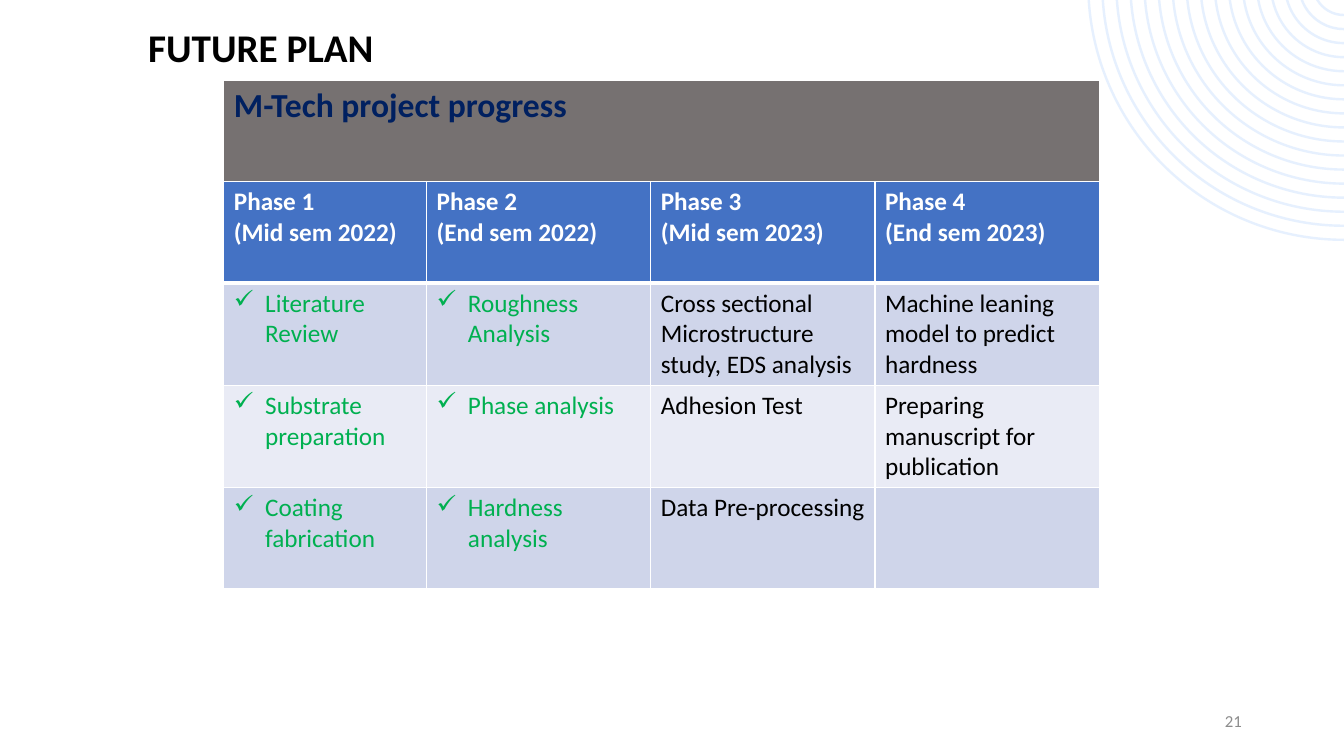
import math

import pptx
import pptx.dml.color
import pptx.enum.text
import pptx.oxml
import pptx.oxml.ns
import pptx.util
from pptx.util import Cm

FONT = "Calibri"
WHITE = "FFFFFF"
BLACK = "000000"
GREEN = "00B050"
COLUMN_WIDTHS = [5.11, 5.65, 5.65, 5.65]
PHASES = [
    "Phase 1\n(Mid sem 2022)",
    "Phase 2\n(End sem 2022)",
    "Phase 3\n(Mid sem 2023)",
    "Phase 4\n(End sem 2023)",
]
TASKS = [
    ["Literature Review", "Roughness Analysis",
     "Cross sectional Microstructure study, EDS analysis",
     "Machine leaning model to predict hardness"],
    ["Substrate preparation", "Phase analysis", "Adhesion Test",
     "Preparing manuscript for publication"],
    ["Coating fabrication", "Hardness analysis", "Data Pre-processing", ""],
]
DONE_COLUMNS = 2
RING_X, RING_Y = 33.87, -0.4


def rgb(color):
    return pptx.dml.color.RGBColor.from_string(color)


def make_xml(tag, children="", **attrs):
    attr_text = "".join(f' {name}="{value}"' for name, value in attrs.items())
    ns = pptx.oxml.ns.nsdecls("a")
    return pptx.oxml.parse_xml(f"<a:{tag} {ns}{attr_text}>{children}</a:{tag}>")


def write(tf, text, size=18, color=BLACK, bold=False, align=None, bullet=None):
    for i, line in enumerate(text.split("\n")):
        p = tf.paragraphs[0] if i == 0 else tf.add_paragraph()
        if bullet:
            pPr = p._p.get_or_add_pPr()
            pPr.set("marL", str(Cm(0.79)))
            pPr.set("indent", str(Cm(-0.79)))
            pPr.append(make_xml("buChar", char=bullet))
        if align is not None:
            p.alignment = align
        r = p.add_run()
        r.text = line
        r.font.name = FONT
        r.font.size = pptx.util.Pt(size)
        r.font.bold = bold
        r.font.color.rgb = rgb(color)


def format_cell(cell, fill, top=1, bottom=1):
    tcPr = cell._tc.get_or_add_tcPr()
    line_fill = f'<a:solidFill><a:srgbClr val="{WHITE}"/></a:solidFill>'
    for side, width in (("L", 1), ("R", 1), ("T", top), ("B", bottom)):
        tcPr.append(make_xml("ln" + side, line_fill, w=pptx.util.Pt(width)))
    cell.fill.solid()
    cell.fill.fore_color.rgb = rgb(fill)


def add_table(slide, top, widths, heights):
    frame = slide.shapes.add_table(
        len(heights), len(widths), Cm(5.64), Cm(top),
        Cm(sum(widths)), Cm(sum(heights)))
    table = frame.table
    table.horz_banding = False
    for column, width in zip(table.columns, widths):
        column.width = Cm(width)
    for row, height in zip(table.rows, heights):
        row.height = Cm(height)
    return table


def add_banner(slide):
    cell = add_table(slide, 2.03, [sum(COLUMN_WIDTHS)], [2.59]).cell(0, 0)
    format_cell(cell, "767171", bottom=3)
    write(cell.text_frame, "M-Tech project progress", 24, "002060", bold=True)


def add_plan(slide):
    table = add_table(slide, 4.57, COLUMN_WIDTHS, [2.56] + [2.54] * len(TASKS))
    for col, phase in enumerate(PHASES):
        cell = table.cell(0, col)
        format_cell(cell, "4472C4", bottom=3)
        write(cell.text_frame, phase, color=WHITE, bold=True)
    for row, tasks in enumerate(TASKS, start=1):
        for col, task in enumerate(tasks):
            cell = table.cell(row, col)
            format_cell(cell, "CFD5EA" if row % 2 else "E9EBF5",
                        top=3 if row == 1 else 1)
            done = col < DONE_COLUMNS
            if task:
                write(cell.text_frame, task, color=GREEN if done else BLACK,
                      bullet="✓" if done else None)


def ring_edge(radius):
    reach = math.sqrt(radius ** 2 - RING_Y ** 2)
    return [(Cm(RING_X - reach), 0), (Cm(RING_X), Cm(RING_Y + radius))]


def make_arc(radius, inward):
    sweep = 90 - math.degrees(math.asin(-RING_Y / radius))
    start, swing = (90, sweep) if inward else (90 + sweep, -sweep)
    return make_xml("arcTo", wR=Cm(radius), hR=Cm(radius),
                    stAng=round(start * 60000), swAng=round(swing * 60000))


def add_corner_rings(slide, count=17, inner=0.81, step=0.354, thickness=0.06):
    builder = None
    arcs = []
    for i in range(count):
        radius = inner + i * step
        points = ring_edge(radius) + ring_edge(radius - thickness)[::-1]
        if builder is None:
            builder = slide.shapes.build_freeform(*points[0])
        else:
            builder.move_to(*points[0])
        builder.add_line_segments(points[1:], close=True)
        arcs += [make_arc(radius, False), None, make_arc(radius - thickness, True)]
    sp = builder.convert_to_shape()
    segments = list(sp._element.iter(pptx.oxml.ns.qn("a:lnTo")))
    for segment, arc in zip(segments, arcs):
        if arc is not None:
            segment.getparent().replace(segment, arc)
    sp.shadow.inherit = False
    sp.fill.solid()
    sp.fill.fore_color.rgb = rgb("E6F0FE")
    sp.line.fill.background()


def add_title(slide, text):
    sp = slide.shapes.title
    sp.left, sp.top, sp.width, sp.height = Cm(3.48), Cm(0.46), Cm(11.56), Cm(1.45)
    tf = sp.text_frame
    tf.word_wrap = True
    tf.auto_size = pptx.enum.text.MSO_AUTO_SIZE.NONE
    tf.vertical_anchor = pptx.enum.text.MSO_ANCHOR.TOP
    write(tf, text, 28, bold=True, align=pptx.enum.text.PP_ALIGN.LEFT)


def add_page_number(slide, text):
    sp = slide.shapes.add_textbox(Cm(23.93), Cm(17.65), Cm(7.62), Cm(1.02))
    tf = sp.text_frame
    tf.word_wrap = True
    tf.vertical_anchor = pptx.enum.text.MSO_ANCHOR.MIDDLE
    write(tf, text, 12, "8C8C8C", align=pptx.enum.text.PP_ALIGN.RIGHT)


def main():
    prs = pptx.Presentation()
    prs.slide_width, prs.slide_height = Cm(33.87), Cm(19.05)
    slide = prs.slides.add_slide(prs.slide_layouts.get_by_name("Title Only"))
    add_corner_rings(slide)
    add_banner(slide)
    add_plan(slide)
    add_title(slide, "FUTURE PLAN")
    add_page_number(slide, "21")
    prs.save("out.pptx")


if __name__ == "__main__":
    main()
